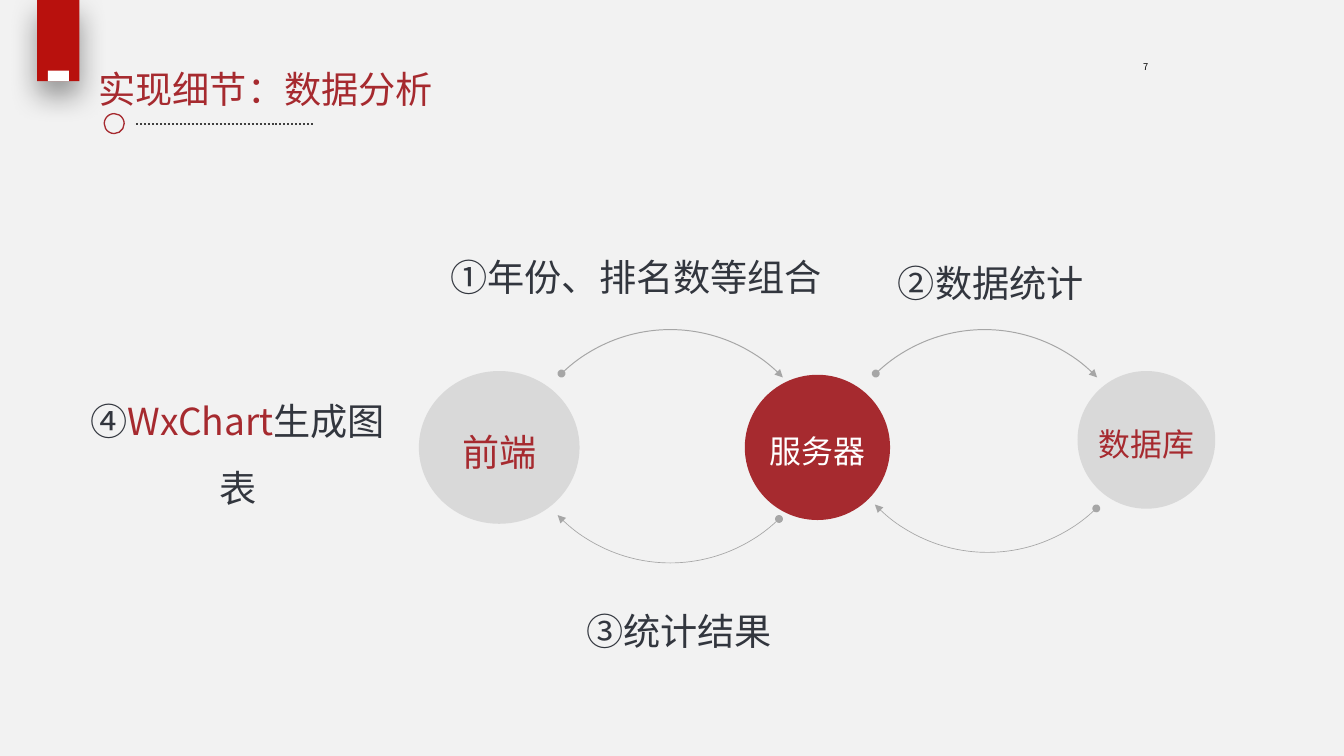
from lxml.etree import SubElement
from pptx import Presentation
from pptx.dml.color import RGBColor
from pptx.enum.dml import MSO_LINE
from pptx.enum.shapes import MSO_CONNECTOR, MSO_SHAPE
from pptx.enum.text import MSO_ANCHOR, MSO_AUTO_SIZE as AUTO, PP_ALIGN
from pptx.oxml.ns import qn
from pptx.util import Cm, Pt

COLORS = {
    "paper": "F2F2F2", "red": "A62A2F", "ribbon": "B8110D", "white": "FFFFFF",
    "disc": "D9D9D9", "ink": "32363E", "dots": "404040", "arc": "A6A6A6",
    "black": "000000",
}
SANS = "Noto Sans CJK SC"


def write(sp, text, color="ink", size=28, font=SANS, align=PP_ALIGN.CENTER,
          anchor=MSO_ANCHOR.MIDDLE, inset=0.13, spacing=None, wrap=True,
          fit=AUTO.SHAPE_TO_FIT_TEXT):
    tf = sp.text_frame
    tf.word_wrap, tf.auto_size, tf.vertical_anchor = wrap, fit, anchor
    tf.margin_left = tf.margin_right = Cm(inset)
    tf.margin_top = tf.margin_bottom = Cm(inset)
    p = tf.paragraphs[0]
    p.alignment, p.line_spacing = align, spacing
    parts = [(text, color)] if isinstance(text, str) else text
    for words, shade in parts:
        r = p.add_run()
        r.text = words
        r.font.size, r.font.name = Pt(size), font
        r.font.color.rgb = RGBColor.from_string(COLORS[shade])
        SubElement(r.font._element, qn("a:ea")).set("typeface", font)


def add_shape(kind, x, y, w, h, fill=None, line=None, width=1):
    sp = s.shapes.add_shape(kind, Cm(x), Cm(y), Cm(w), Cm(h))
    sp.shadow.inherit = False
    if fill:
        sp.fill.solid()
        sp.fill.fore_color.rgb = RGBColor.from_string(COLORS[fill])
    else:
        sp.fill.background()
    if line:
        sp.line.color.rgb = RGBColor.from_string(COLORS[line])
        sp.line.width = Pt(width)
    else:
        sp.line.fill.background()
    return sp


prs = Presentation()
prs.slide_width, prs.slide_height = Cm(35.71), Cm(20.09)
s = prs.slides.add_slide(prs.slide_layouts[6])
s.background.fill.solid()
s.background.fill.fore_color.rgb = RGBColor.from_string(COLORS["paper"])

number = s.shapes.add_textbox(Cm(30.23), Cm(1.5), Cm(0.43), Cm(0.56))
write(number, "7", color="black", size=7, inset=0, fit=AUTO.NONE)

title = s.shapes.add_textbox(Cm(2.49), Cm(1.63), Cm(9.25), Cm(1.45))
write(title, "实现细节：数据分析", color="red", align=PP_ALIGN.LEFT,
      anchor=MSO_ANCHOR.TOP, wrap=False)

rule = s.shapes.add_connector(MSO_CONNECTOR.STRAIGHT, Cm(3.61), Cm(3.3), Cm(8.33), Cm(3.3))
rule.line.color.rgb = RGBColor.from_string(COLORS["dots"])
rule.line.width = Pt(1.5)
rule.line.dash_style = MSO_LINE.ROUND_DOT
SubElement(rule._element.spPr, qn("a:effectLst"))
add_shape(MSO_SHAPE.OVAL, 2.77, 3.02, 0.53, 0.53, line="red")

ribbon = add_shape(MSO_SHAPE.RECTANGLE, 0.99, 0, 1.12, 2.16, fill="ribbon")
effects = ribbon._element.spPr.find(qn("a:effectLst"))
shadow = SubElement(effects, qn("a:outerShdw"), blurRad=str(Pt(22)), dist=str(Pt(11)),
                    dir="5400000", algn="t", rotWithShape="0")
shade = SubElement(shadow, qn("a:srgbClr"), val=COLORS["black"])
SubElement(shade, qn("a:alpha"), val="40000")
add_shape(MSO_SHAPE.RECTANGLE, 1.27, 1.88, 0.56, 0.28, fill="white")

steps = [
    (11.15, 6.12, 11.51, "①年份、排名数等组合"),
    (21.79, 6.3, 9.07, "②数据统计"),
    (13.51, 15.54, 9.07, "③统计结果"),
    (1.78, 10.85, 9.07, [("④", "ink"), ("WxChart", "red"), ("生成图表", "ink")]),
]
for x, y, w, text in steps:
    label = s.shapes.add_textbox(Cm(x), Cm(y), Cm(w), Cm(1.85))
    write(label, text, spacing=1.5)

nodes = [
    (11.13, 9.86, 4.27, 4.06, "disc", "前端", "red", 28),
    (19.79, 9.96, 3.86, 3.86, "red", "服务器", "white", 24),
    (28.63, 9.86, 3.66, 3.66, "disc", "数据库", "red", 24),
]
for x, y, w, h, fill, text, color, size in nodes:
    node = add_shape(MSO_SHAPE.OVAL, x, y, w, h, fill=fill)
    write(node, text, color=color, size=size, font="Arial", inset=0, spacing=1.2,
          fit=AUTO.NONE)

radius = 4.16
arcs = [
    (17.81, 12.92, 226, 0.75),
    (26.16, 12.92, 226, 0.75),
    (17.81, 10.8, 46, 0.5),
    (26.24, 10.52, 46, 0.5),
]
for cx, cy, start, width in arcs:
    arc = add_shape(MSO_SHAPE.ARC, cx - radius, cy - radius, 2 * radius, 2 * radius,
                    line="arc", width=width)
    arc.adjustments[0] = start * 0.6
    arc.adjustments[1] = (start + 90) * 0.6
    ln = arc._element.spPr.find(qn("a:ln"))
    SubElement(ln, qn("a:headEnd"), type="oval")
    SubElement(ln, qn("a:tailEnd"), type="triangle")

prs.save("out.pptx")
